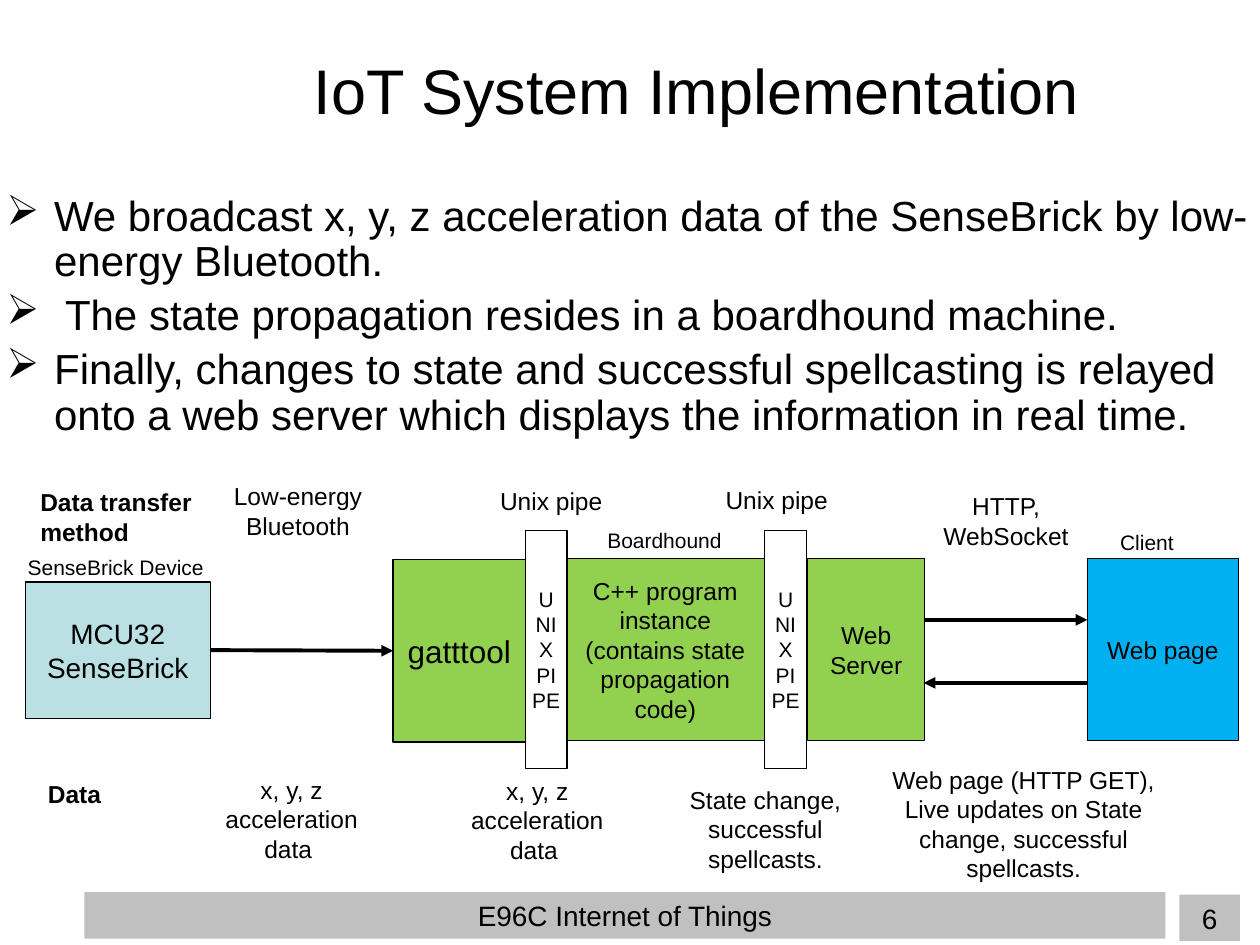
from lxml import etree
from pptx import Presentation
from pptx.dml.color import RGBColor
from pptx.enum.shapes import MSO_CONNECTOR, MSO_SHAPE
from pptx.enum.text import MSO_ANCHOR, PP_ALIGN
from pptx.oxml.ns import qn
from pptx.util import Inches, Pt

RECT, STRAIGHT = MSO_SHAPE.RECTANGLE, MSO_CONNECTOR.STRAIGHT
LEFT, CENTER = PP_ALIGN.LEFT, PP_ALIGN.CENTER
TOP, MIDDLE = MSO_ANCHOR.TOP, MSO_ANCHOR.MIDDLE
BLACK, GRAY, GREEN = "000000", "C0C0C0", "92D050"


def rgb(color):
    return RGBColor.from_string(color)


def put_text(sp, text, size, align=CENTER, anchor=TOP, bold=False):
    tf = sp.text_frame
    tf.word_wrap = True
    tf.vertical_anchor = anchor
    tf.margin_left = tf.margin_right = tf.margin_top = tf.margin_bottom = Inches(0.05)
    tf.text = text
    for p in tf.paragraphs:
        p.alignment = align
        p.font.name = "Arial"
        p.font.size = Pt(size)
        p.font.bold = bold
        p.font.color.rgb = rgb(BLACK)
    return tf


prs = Presentation()
prs.slide_width, prs.slide_height = Inches(10), Inches(7.5)
s = prs.slides.add_slide(prs.slide_layouts[6])

# Title
sp = s.shapes.add_textbox(Inches(1.67), Inches(0.08), Inches(7.86), Inches(1.25))
put_text(sp, "IoT System Implementation ", 36, anchor=MIDDLE)

# Bulleted list
points = [
    "We broadcast x, y, z acceleration data of the SenseBrick by low-energy Bluetooth.",
    " The state propagation resides in a boardhound machine.",
    "Finally, changes to state and successful spellcasting is relayed onto a web server "
    "which displays the information in real time.",
]
sp = s.shapes.add_textbox(Inches(0), Inches(1.5), Inches(10), Inches(2.25))
tf = put_text(sp, "\n".join(points), 24, LEFT)
for i, p in enumerate(tf.paragraphs):
    p.line_spacing = 0.9
    p.space_before = Pt(5 if i else 0)
    pPr = p._p.get_or_add_pPr()
    pPr.set("marL", str(Inches(0.38)))
    pPr.set("indent", str(-Inches(0.38)))
    bullet = etree.Element(qn("a:buChar"), char="➢")
    pPr.find(qn("a:defRPr")).addprevious(bullet)

# Footer bars and system blocks: text, size, left, top, width, height, fill, outlined
blocks = [
    ("E96C Internet of Things", 16, 0.67, 7.08, 8.58, 0.37, GRAY, False),
    ("6", 16, 9.36, 7.1, 0.48, 0.37, GRAY, False),
    ("MCU32 SenseBrick", 16, 0.2, 4.62, 1.47, 1.08, "BBE0E3", True),
    ("C++ program instance (contains state propagation code)", 14,
     4.47, 4.43, 1.62, 1.45, GREEN, True),
    ("gatttool", 18, 3.12, 4.44, 1.05, 1.45, GREEN, True),
    ("UNIX PIPE", 12, 4.17, 4.21, 0.33, 1.89, "FFFFFF", True),
    ("UNIX PIPE", 12, 6.07, 4.21, 0.33, 1.89, "FFFFFF", True),
    ("Web Server", 14, 6.41, 4.43, 0.93, 1.45, GREEN, True),
    ("Web page", 14, 8.63, 4.43, 1.2, 1.45, "00B0F0", True),
]
block_shapes = {}
for text, size, x, y, w, h, fill, outlined in blocks:
    sp = s.shapes.add_shape(RECT, Inches(x), Inches(y), Inches(w), Inches(h))
    sp.shadow.inherit = False
    sp.fill.solid()
    sp.fill.fore_color.rgb = rgb(fill)
    if outlined:
        sp.line.color.rgb = rgb(BLACK)
        sp.line.width = Pt(0.75)
    else:
        sp.line.fill.background()
    put_text(sp, text, size, anchor=MIDDLE)
    block_shapes[text] = sp

# Arrows between the blocks
arrows = []
for x1, x2, y in [(1.67, 3.12, 5.16), (7.33, 8.63, 4.92), (8.63, 7.33, 5.42)]:
    arrow = s.shapes.add_connector(STRAIGHT, Inches(x1), Inches(y), Inches(x2), Inches(y))
    arrow.line.color.rgb = rgb(BLACK)
    arrow.line.width = Pt(2.25)
    etree.SubElement(arrow.line._get_or_add_ln(), qn("a:tailEnd"), type="triangle")
    etree.SubElement(arrow._element.spPr, qn("a:effectLst"))
    arrows.append(arrow)
arrows[0].begin_connect(block_shapes["MCU32 SenseBrick"], 3)
arrows[0].end_connect(block_shapes["gatttool"], 1)

# Labels: text, size, left, top, width, height, alignment, bold
labels = [
    # Transfer methods
    ("Data transfer method", 14, 0.27, 3.82, 1.47, 0.57, LEFT, True),
    ("Low-energy Bluetooth", 14, 1.63, 3.77, 1.47, 0.57, CENTER, False),
    ("Unix pipe", 14, 3.64, 3.81, 1.47, 0.34, CENTER, False),
    ("Unix pipe", 14, 5.43, 3.8, 1.47, 0.34, CENTER, False),
    ("HTTP, WebSocket", 14, 7.25, 3.85, 1.47, 0.57, CENTER, False),
    # Data carried
    ("Data", 14, 0.33, 6.13, 1.47, 0.34, LEFT, True),
    ("x, y, z acceleration data ", 14, 1.58, 6.1, 1.47, 0.8, CENTER, False),
    ("x, y, z acceleration data ", 14, 3.53, 6.11, 1.47, 0.8, CENTER, False),
    ("State change, successful spellcasts.", 14, 5.34, 6.18, 1.47, 0.8, CENTER, False),
    ("Web page (HTTP GET), Live updates on State change, successful spellcasts.", 14,
     6.91, 6.02, 2.43, 1.04, CENTER, False),
    # Devices
    ("SenseBrick Device", 12, 0.17, 4.35, 1.57, 0.3, LEFT, False),
    ("Boardhound", 12, 4.77, 4.14, 1.27, 0.3, LEFT, False),
    ("Client", 12, 8.84, 4.15, 1, 0.3, LEFT, False),
]
for text, size, x, y, w, h, align, bold in labels:
    sp = s.shapes.add_textbox(Inches(x), Inches(y), Inches(w), Inches(h))
    put_text(sp, text, size, align, bold=bold)

prs.save("out.pptx")
